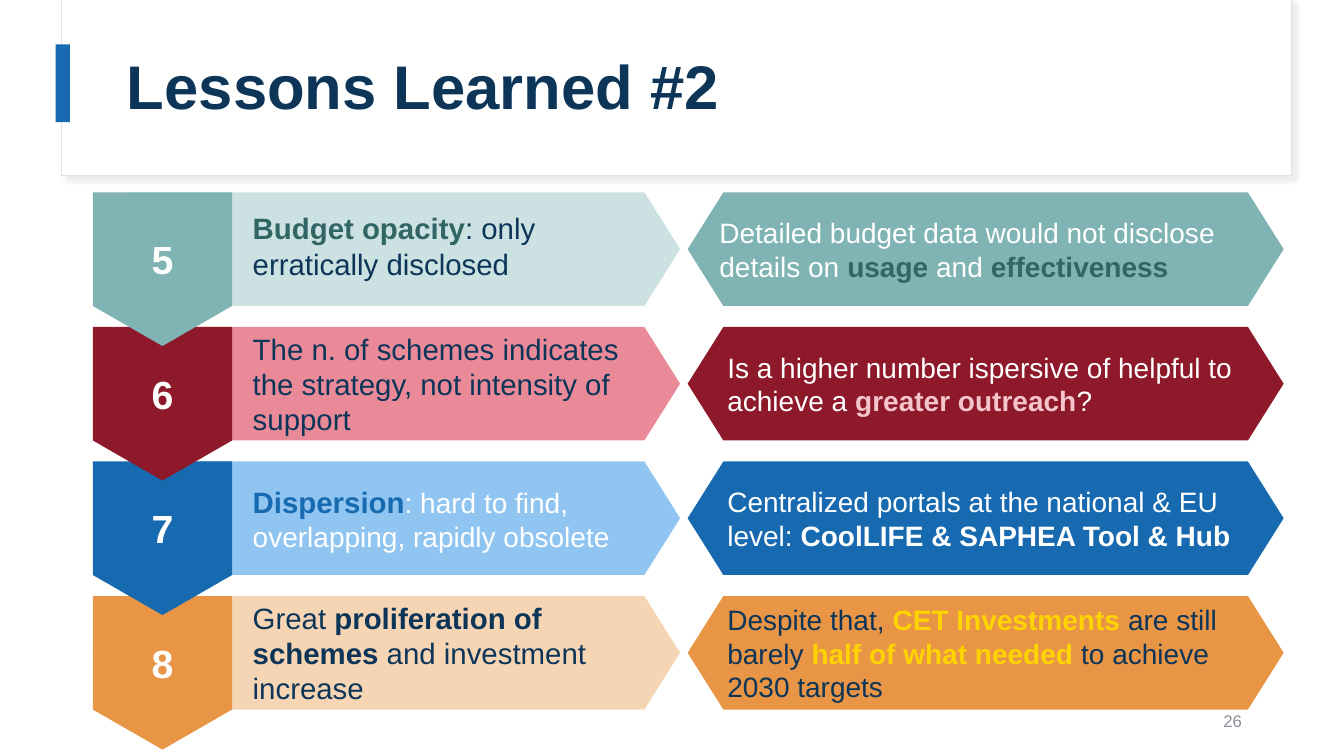
"""Build the slide 'Lessons Learned #2'."""
from dataclasses import dataclass

from lxml import etree
from pptx import Presentation
from pptx.dml.color import RGBColor
from pptx.enum.shapes import MSO_SHAPE
from pptx.enum.text import MSO_ANCHOR, PP_ALIGN
from pptx.oxml.ns import qn
from pptx.util import Cm, Pt

RECT = MSO_SHAPE.RECTANGLE
MIDDLE = MSO_ANCHOR.MIDDLE
LEFT, CENTER, RIGHT = PP_ALIGN.LEFT, PP_ALIGN.CENTER, PP_ALIGN.RIGHT

FONT = "Arial"
NAVY, BLUE, WHITE = "0C3558", "176AB0", "FFFFFF"
TEAL, PINE, WINE = "80B3B3", "326565", "8D192B"
ORANGE, GOLD, PINK = "E89546", "FFD400", "F5C5CC"

TOP, PITCH, HIGH, TIP = 4.85, 3.39, 2.86, 0.9
BADGE_X, BADGE_W, POINT = 2.34, 3.51, 1.01
CLAIM_W, CLAIM_X = 14.8, 6.12
REPLY_X, REPLY_W = 17.33, 15.02
PAD = 0.25


@dataclass
class Run:
    """A stretch of text with its own look."""
    text: str
    color: str
    bold: bool = False
    size: float | None = None


@dataclass
class Lesson:
    """One row: numbered badge, claim and reply."""
    number: int
    dark: str
    light: str
    claim: list[Run]
    reply: list[Run]
    width: float = 10.49
    lift: float = 0
    inset: float = 1


LESSONS = [
    Lesson(5, TEAL, "CCE1E1",
           [Run("Budget opacity", PINE, True),
            Run(": only erratically disclosed", NAVY)],
           [Run("Detailed budget data would not disclose details on ", WHITE),
            Run("usage ", PINE, True), Run("and ", WHITE),
            Run("effectiveness", PINE, True)],
           lift=0.09, inset=0.8),
    Lesson(6, WINE, "EA8A99",
           [Run("The n. of schemes indicates the strategy, "
                "not intensity of support", NAVY)],
           [Run("Is a higher number ispersive of helpful to achieve a ", WHITE),
            Run("greater outreach", PINK, True), Run("?", WHITE)]),
    Lesson(7, BLUE, "91C5F1",
           [Run("Dispersion", BLUE, True),
            Run(": hard to find, overlapping, rapidly obsolete", WHITE, size=20)],
           [Run("Centralized portals at the national & EU level: ", WHITE),
            Run("CoolLIFE & SAPHEA Tool & Hub", WHITE, True)],
           width=11.56),
    Lesson(8, ORANGE, "F6D5B5",
           [Run("Great ", NAVY), Run("proliferation of schemes ", NAVY, True),
            Run("and investment increase", NAVY)],
           [Run("Despite that, ", NAVY), Run("CET Investments ", GOLD, True),
            Run("are still barely ", NAVY),
            Run("half of what needed ", GOLD, True),
            Run("to achieve 2030 targets", NAVY)],
           width=11.07),
]


def rgb(code: str) -> RGBColor:
    """Turn a hex string into a colour."""
    return RGBColor.from_string(code)


def paint(shape, fill: str) -> None:
    """Give a shape a flat fill with no line or shadow."""
    shape.shadow.inherit = False
    shape.fill.solid()
    shape.fill.fore_color.rgb = rgb(fill)
    shape.line.fill.background()


def write(shape, runs: list[Run], size: float, align=LEFT,
          side: float = PAD, edge: float = PAD, foot: float = PAD) -> None:
    """Fill a shape with one paragraph of runs."""
    frame = shape.text_frame
    frame.word_wrap = True
    frame.vertical_anchor = MIDDLE
    frame.margin_left = frame.margin_right = Cm(side)
    frame.margin_top, frame.margin_bottom = Cm(edge), Cm(foot)
    para = frame.paragraphs[0]
    para.alignment = align
    para.font.name, para.font.size = FONT, Pt(size)
    for item in runs:
        run = para.add_run()
        run.text = item.text
        run.font.color.rgb = rgb(item.color)
        run.font.bold = item.bold
        if item.size:
            run.font.size = Pt(item.size)


def draw(shapes, points: list[tuple[float, float]], fill: str):
    """Draw a closed outline through points in centimetres."""
    spots = [(Cm(x), Cm(y)) for x, y in points]
    pen = shapes.build_freeform(*spots[0], scale=1.0)
    pen.add_line_segments(spots[1:], close=True)
    shape = pen.convert_to_shape()
    paint(shape, fill)
    return shape


def draw_band(shapes, x: float, y: float, width: float, fill: str):
    """Draw a band pointed at both ends."""
    end, mid, low = x + width, y + HIGH / 2, y + HIGH
    return draw(shapes, [(x + TIP, y), (x, mid), (x + TIP, low),
                         (end - TIP, low), (end, mid), (end - TIP, y)], fill)


def draw_badge(shapes, y: float, fill: str):
    """Draw a number badge pointing down."""
    end, low = BADGE_X + BADGE_W, y + HIGH
    return draw(shapes, [(BADGE_X, y), (BADGE_X, low),
                         (BADGE_X + BADGE_W / 2, low + POINT),
                         (end, low), (end, y)], fill)


def add_lesson(shapes, row: int, item: Lesson) -> None:
    """Draw one row of the list."""
    y = TOP + row * PITCH
    draw_band(shapes, BADGE_X, y, CLAIM_W, item.light)
    badge = draw_badge(shapes, y, item.dark)
    write(badge, [Run(str(item.number), WHITE, True)], 28, CENTER, foot=0.76)
    claim = shapes.add_textbox(Cm(CLAIM_X), Cm(y - item.lift),
                               Cm(item.width), Cm(HIGH))
    write(claim, item.claim, 21)
    reply = draw_band(shapes, REPLY_X, y, REPLY_W, item.dark)
    write(reply, item.reply, 20, side=item.inset)


def add_head(shapes) -> None:
    """Draw the title card, its accent bar and the title."""
    card = shapes.add_shape(RECT, Cm(1.55), 0, Cm(31.01), Cm(4.42))
    paint(card, WHITE)
    card.line.color.rgb = rgb("E1E1E1")
    card.line.width = Pt(0.75)
    effects = card.element.spPr.find(qn("a:effectLst"))
    shade = etree.SubElement(effects, qn("a:outerShdw"), blurRad=str(Pt(4)),
                             dist=str(Pt(3)), dir="2700000", algn="tl")
    tone = etree.SubElement(shade, qn("a:srgbClr"), val="D9D9D9")
    etree.SubElement(tone, qn("a:alpha"), val="50000")

    paint(shapes.add_shape(RECT, Cm(1.4), Cm(1.12), Cm(0.36), Cm(1.96)), BLUE)

    title = shapes.title
    title.left, title.top = Cm(2.95), Cm(0.61)
    title.width, title.height = Cm(28.24), Cm(3.28)
    write(title, [Run("Lessons Learned #2", NAVY, True)], 44, edge=0.13, foot=0.13)
    title.text_frame.paragraphs[0].line_spacing = 0.9
    shapes.element.append(title.element)


def main() -> None:
    """Build and save the slide."""
    deck = Presentation()
    deck.slide_width, deck.slide_height = Cm(33.87), Cm(19.05)
    shapes = deck.slides.add_slide(deck.slide_layouts[5]).shapes
    add_head(shapes)
    for row, item in reversed(list(enumerate(LESSONS))):
        add_lesson(shapes, row, item)
    number = shapes.add_textbox(Cm(23.93), Cm(17.65), Cm(7.62), Cm(1.02))
    write(number, [Run("26", "8C909A")], 12, RIGHT, edge=0.13, foot=0.13)
    deck.save("out.pptx")


if __name__ == "__main__":
    main()
